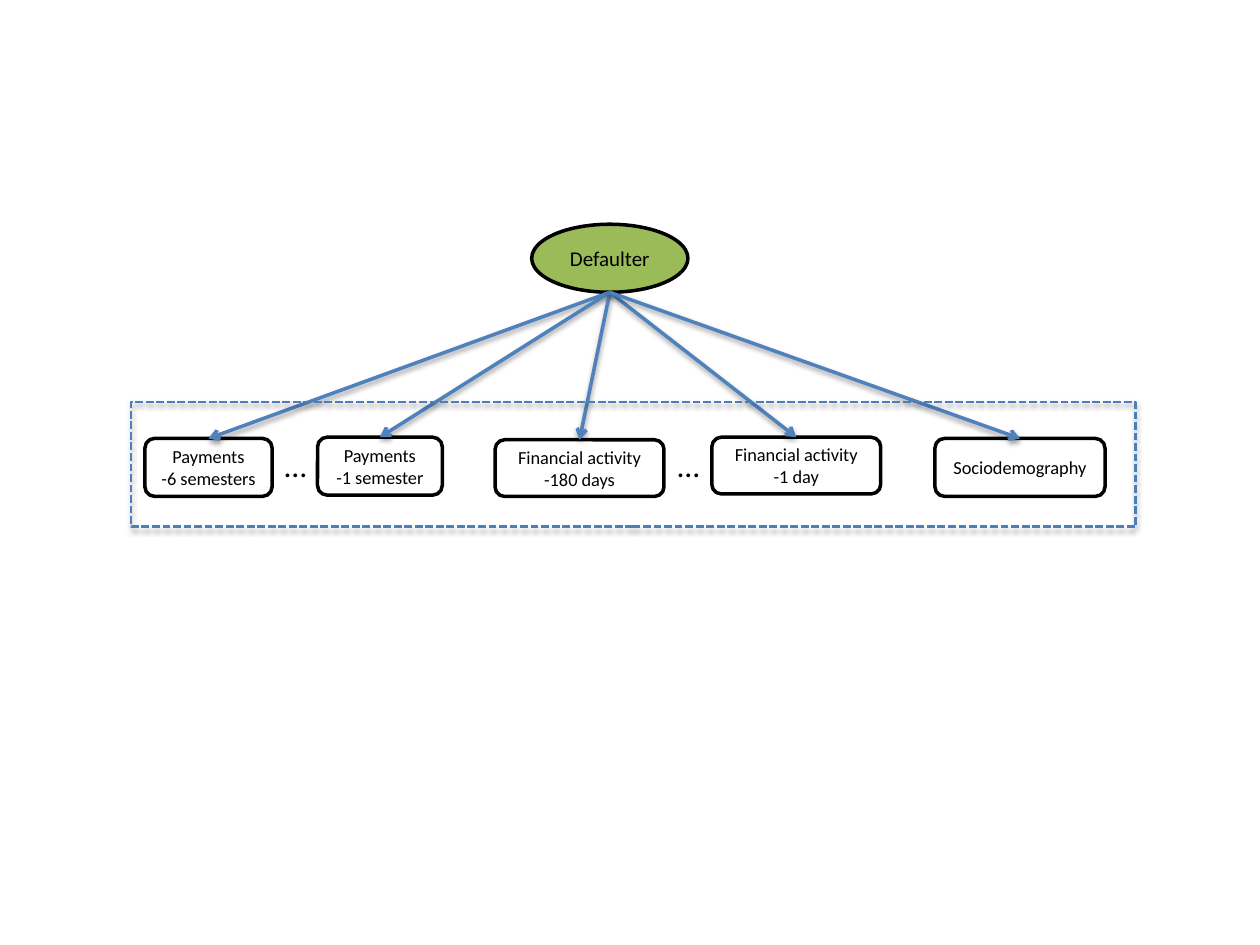
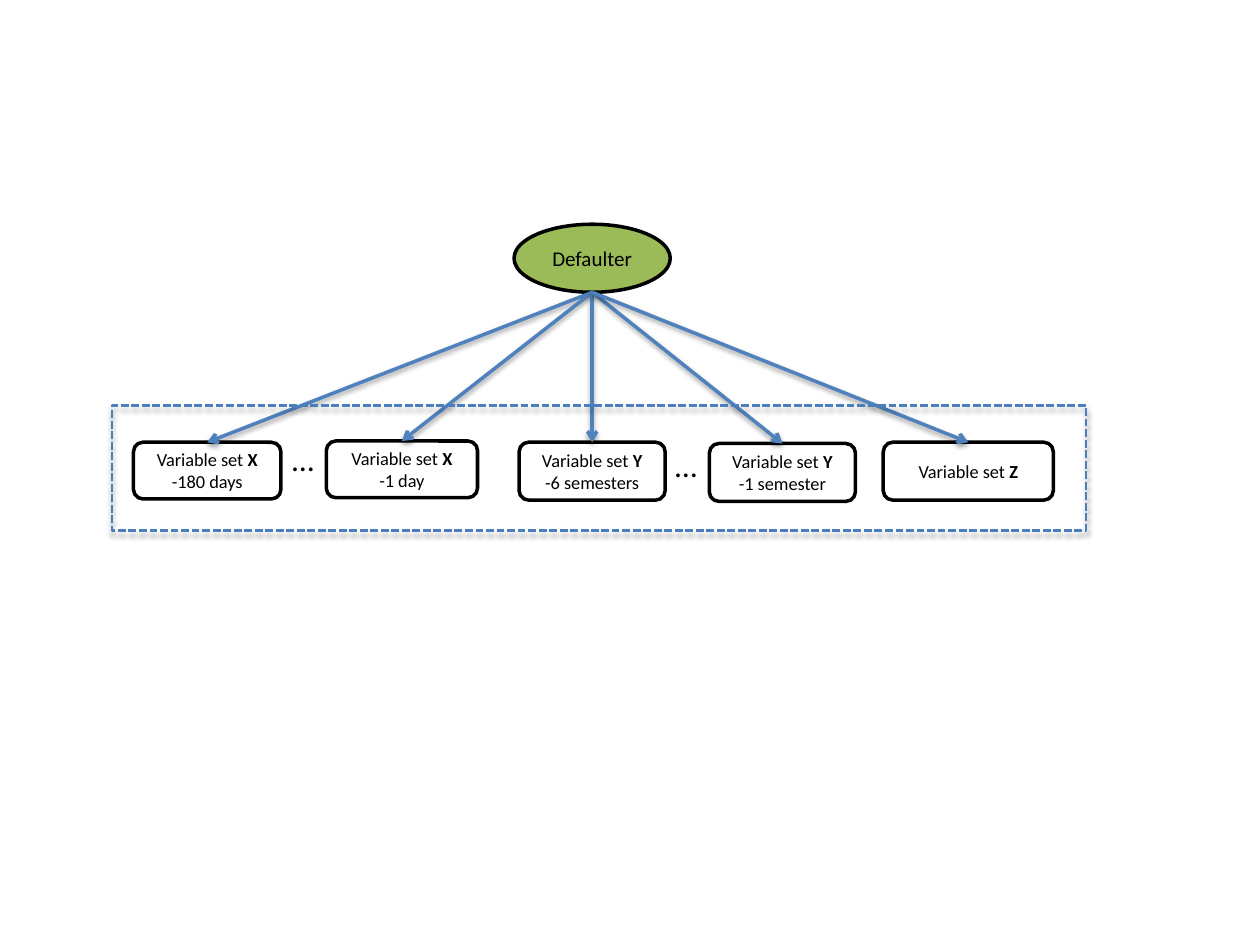
from lxml import etree
from pptx import Presentation
from pptx.dml.color import RGBColor
from pptx.enum.dml import MSO_LINE
from pptx.enum.shapes import MSO_CONNECTOR, MSO_SHAPE
from pptx.enum.text import MSO_ANCHOR, PP_ALIGN
from pptx.oxml.ns import qn
from pptx.util import Inches, Pt

ELLIPSE, BOX, FRAME = MSO_SHAPE.OVAL, MSO_SHAPE.ROUNDED_RECTANGLE, MSO_SHAPE.RECTANGLE
STRAIGHT = MSO_CONNECTOR.STRAIGHT
DASHED = MSO_LINE.SQUARE_DOT
CENTER, LEFT = PP_ALIGN.CENTER, PP_ALIGN.LEFT
MIDDLE, TOP = MSO_ANCHOR.MIDDLE, MSO_ANCHOR.TOP
BOX_TOP_SITE = 0
BLANK_LAYOUT = 6

COLORS = {"ink": "000000", "root": "9BBB59", "arrow": "4F81BD", "frame": "4B7EBC"}
FONT = "Calibri"
SIZES = {"root": 12, "box": 10.5, "dots": 18}
SOLID_WIDTH, DASHED_WIDTH = 2, 1.5

# Shadow: opacity in percent, blur and distance in points
ARROW_SHADOW = (38, 3.1, 1.6)
FRAME_SHADOW = (35, 3.1, 1.8)

# Lengths in inches
SLIDE_WIDTH, SLIDE_HEIGHT = 10, 7.5
ROOT_TOP, ROOT_WIDTH, ROOT_HEIGHT = 1.78, 1.24, 0.54
DOTS_WIDTH, DOTS_HEIGHT = 0.38, 0.4
FRAME_HEIGHT = 0.99

# Box: (left, top, width, height), paragraphs of (text, bold) runs
DIAGRAMS = [
    {
        "root_center": 4.84,
        "frame": (1.04, 3.19, 7.97),
        "dots": [(2.16, 3.49), (5.28, 3.49)],
        "boxes": [
            ((1.15, 3.48, 1.01, 0.46), [[("Payments", False)], [("-6 semesters", False)]]),
            ((2.52, 3.47, 0.99, 0.46), [[("Payments", False)], [("-1 semester", False)]]),
            ((3.93, 3.49, 1.34, 0.45), [[("Financial activity -180 days", False)]]),
            ((5.65, 3.47, 1.34, 0.45), [[("Financial activity -1 day", False)]]),
            ((7.42, 3.48, 1.35, 0.46), [[("Sociodemography", False)]]),
        ],
    },
    {
        "root_center": 4.7,
        "frame": (0.89, 3.22, 7.73),
        "dots": [(2.22, 3.44), (5.26, 3.49)],
        "boxes": [
            ((1.06, 3.51, 1.17, 0.45),
             [[("Variable set ", False), ("X", True), (" -180 days", False)]]),
            ((2.59, 3.5, 1.2, 0.45),
             [[("Variable set ", False), ("X", True)], [("-1 day", False)]]),
            ((4.12, 3.51, 1.16, 0.46),
             [[("Variable set ", False), ("Y", True)], [("-6 semesters", False)]]),
            ((5.63, 3.52, 1.16, 0.46),
             [[("Variable set ", False), ("Y", True)], [("-1 semester", False)]]),
            ((7.01, 3.51, 1.35, 0.46), [[("Variable set ", False), ("Z", True)]]),
        ],
    },
]


def rgb(name):
    """Return the named colour."""
    return RGBColor.from_string(COLORS[name])


def write_text(shape, paragraphs, size, alignment, anchor, wrap):
    """Fill a shape with paragraphs of (text, bold) runs."""
    frame = shape.text_frame
    frame.word_wrap = wrap
    frame.vertical_anchor = anchor
    for index, runs in enumerate(paragraphs):
        paragraph = frame.add_paragraph() if index else frame.paragraphs[0]
        paragraph.alignment = alignment
        for text, bold in runs:
            run = paragraph.add_run()
            run.text = text
            run.font.name = FONT
            run.font.size = Pt(size)
            run.font.bold = bold
            run.font.color.rgb = rgb("ink")


def set_line(line, color, width):
    """Colour a line and set its width in points."""
    line.color.rgb = rgb(color)
    line.width = Pt(width)


def add_shadow(shape, opacity, blur, distance):
    """Cast a soft shadow straight down."""
    effects = etree.SubElement(shape.element.spPr, qn("a:effectLst"))
    shadow = etree.SubElement(
        effects, qn("a:outerShdw"), blurRad=str(Pt(blur)), dist=str(Pt(distance)),
        dir=str(90 * 60000), rotWithShape="0")
    color = etree.SubElement(shadow, qn("a:srgbClr"), val=COLORS["ink"])
    etree.SubElement(color, qn("a:alpha"), val=str(opacity * 1000))


def add_node(slide, kind, bounds, paragraphs, size, fill=None):
    """Add an outlined shape with centred text."""
    node = slide.shapes.add_shape(kind, *map(Inches, bounds))
    node.shadow.inherit = False
    if fill:
        node.fill.solid()
        node.fill.fore_color.rgb = rgb(fill)
    else:
        node.fill.background()
    set_line(node.line, "ink", SOLID_WIDTH)
    write_text(node, paragraphs, size, CENTER, MIDDLE, True)
    return node


def add_arrow(slide, root, box):
    """Draw an arrow from the bottom of the root to the top of a box."""
    arrow = slide.shapes.add_connector(
        STRAIGHT, root.left + root.width // 2, root.top + root.height,
        box.left + box.width // 2, box.top)
    arrow.end_connect(box, BOX_TOP_SITE)
    set_line(arrow.line, "arrow", SOLID_WIDTH)
    outline = arrow.element.spPr.find(qn("a:ln"))
    etree.SubElement(outline, qn("a:tailEnd"), type="arrow")
    add_shadow(arrow, *ARROW_SHADOW)


def add_frame(slide, left, top, width):
    """Draw the dashed frame around the row of boxes."""
    frame = slide.shapes.add_shape(
        FRAME, *map(Inches, (left, top, width, FRAME_HEIGHT)))
    frame.fill.background()
    set_line(frame.line, "frame", DASHED_WIDTH)
    frame.line.dash_style = DASHED
    add_shadow(frame, *FRAME_SHADOW)


def build_diagram(slide, diagram):
    """Draw one root, its boxes, the arrows and the frame."""
    root_left = diagram["root_center"] - ROOT_WIDTH / 2
    root = add_node(slide, ELLIPSE, (root_left, ROOT_TOP, ROOT_WIDTH, ROOT_HEIGHT),
                    [[("Defaulter", False)]], SIZES["root"], "root")
    boxes = [add_node(slide, BOX, bounds, paragraphs, SIZES["box"])
             for bounds, paragraphs in diagram["boxes"]]
    for left, top in diagram["dots"]:
        dots = slide.shapes.add_textbox(
            *map(Inches, (left, top, DOTS_WIDTH, DOTS_HEIGHT)))
        write_text(dots, [[("…", False)]], SIZES["dots"], LEFT, TOP, False)
    for box in boxes:
        add_arrow(slide, root, box)
    add_frame(slide, *diagram["frame"])


presentation = Presentation()
presentation.slide_width = Inches(SLIDE_WIDTH)
presentation.slide_height = Inches(SLIDE_HEIGHT)
for diagram in DIAGRAMS:
    build_diagram(
        presentation.slides.add_slide(presentation.slide_layouts[BLANK_LAYOUT]), diagram)
presentation.save("out.pptx")
